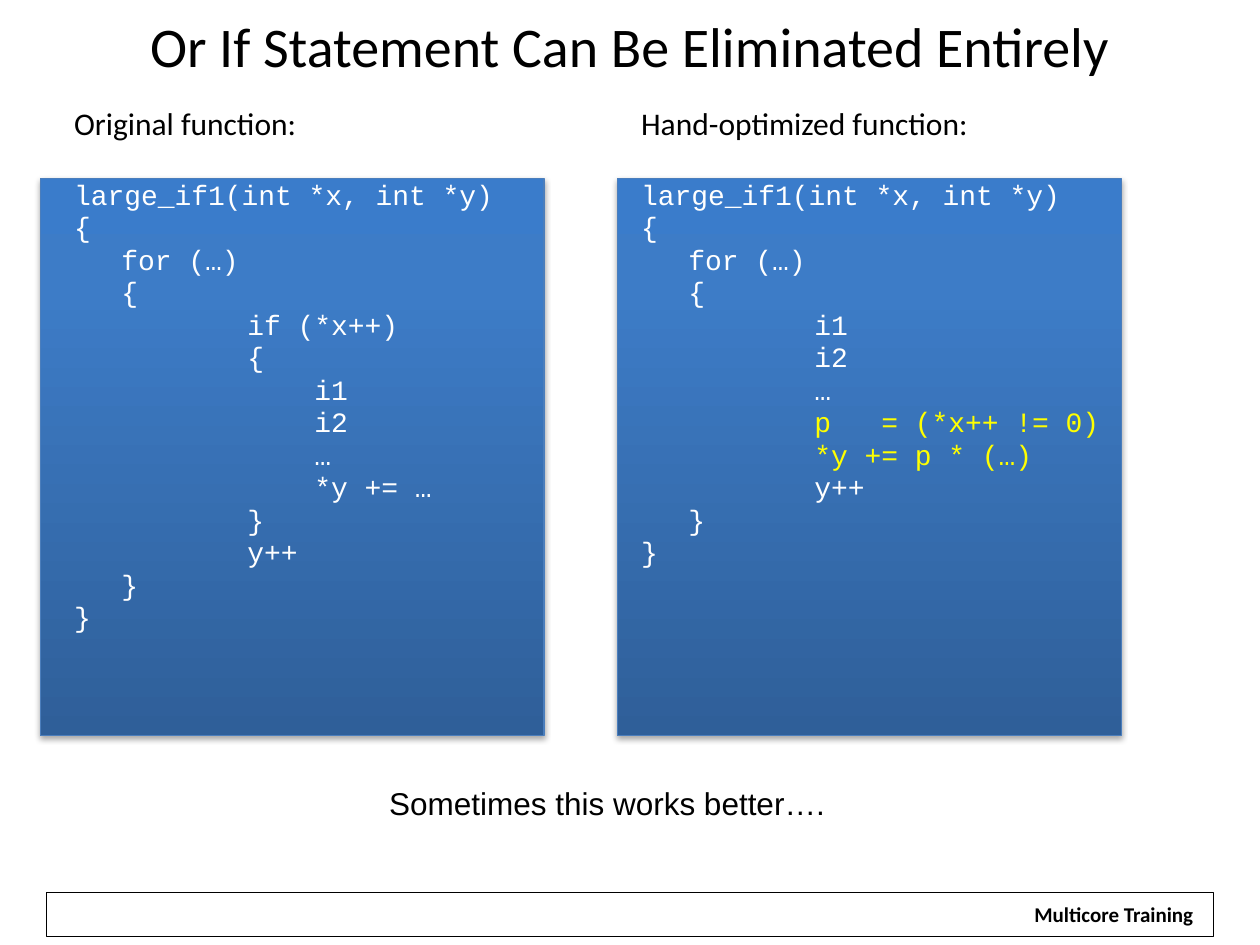
from copy import deepcopy
from dataclasses import dataclass

from lxml.etree import SubElement
from pptx import Presentation
from pptx.dml.color import RGBColor
from pptx.enum.shapes import MSO_SHAPE
from pptx.enum.text import MSO_ANCHOR, PP_ALIGN
from pptx.oxml.ns import qn
from pptx.util import Pt

COLORS = {
    "black": "000000",
    "white": "FFFFFF",
    "highlight": "FFFF00",
    "panel_line": "4B7EBC",
    "panel_bottom": "2F5F99",
    "panel_middle": "3D7CC7",
    "panel_top": "3A7CCB",
}
PANEL_STOPS = [(0, "panel_bottom"), (0.8, "panel_middle"), (1, "panel_top")]
HANGING = Pt(27)
TAB_WIDTH = Pt(72)


@dataclass
class Box:
    left: float
    top: float
    width: float
    height: float

    def lengths(self) -> list:
        return [Pt(v) for v in (self.left, self.top, self.width, self.height)]


@dataclass
class TextStyle:
    font: str
    size: float
    color: str = "black"
    bold: bool = False


@dataclass
class CodeColumn:
    panel_left: float
    text_left: float
    heading: str
    code: str
    highlighted: tuple = ()


HEADING = TextStyle("Calibri", 18)
CODE = TextStyle("Courier New", 16, "white")
HIGHLIGHT = TextStyle("Courier New", 16, "highlight")

COLUMNS = [
    CodeColumn(23, 35.3, "Original function:", """\
large_if1(int *x, int *y)
{
\tfor (…)
\t{
\t\tif (*x++)
\t\t{
\t\t    i1
\t\t    i2
\t\t    …
\t\t    *y += …
\t\t}
\t\ty++
\t}
}"""),
    CodeColumn(352.8, 359.3, "Hand-optimized function:", """\
large_if1(int *x, int *y)
{
\tfor (…)
\t{
\t\ti1
\t\ti2
\t\t…
\t\tp   = (*x++ != 0)
\t\t*y += p * (…)
\t\ty++
\t}
}""", ("p   = (*x++ != 0)", "*y += p * (…)")),
]


def rgb(name: str) -> RGBColor:
    return RGBColor.from_string(COLORS[name])


def add_run(paragraph, text: str, style: TextStyle) -> None:
    run = paragraph.add_run()
    run.text = text
    run.font.name = style.font
    run.font.size = Pt(style.size)
    run.font.bold = style.bold
    run.font.color.rgb = rgb(style.color)


def add_text_box(slide, box: Box, wrap: bool = True):
    shape = slide.shapes.add_textbox(*box.lengths())
    shape.text_frame.word_wrap = wrap
    return shape


def add_label(slide, box: Box, text: str, style: TextStyle,
              alignment=PP_ALIGN.LEFT, wrap: bool = False):
    shape = add_text_box(slide, box, wrap)
    paragraph = shape.text_frame.paragraphs[0]
    paragraph.alignment = alignment
    add_run(paragraph, text, style)
    return shape


def add_rectangle(slide, box: Box, line_color: str):
    shape = slide.shapes.add_shape(MSO_SHAPE.RECTANGLE, *box.lengths())
    shape.shadow.inherit = False
    shape.line.color.rgb = rgb(line_color)
    shape.line.width = Pt(0.75)
    return shape


def add_panel(slide, box: Box) -> None:
    shape = add_rectangle(slide, box, "panel_line")
    # Three-stop gradient running upwards
    shape.fill.gradient()
    shape.fill.gradient_angle = 90
    properties = shape.element.spPr
    stop_list = properties.find(qn("a:gradFill")).find(qn("a:gsLst"))
    stop_list.append(deepcopy(stop_list[-1]))
    for stop, (position, color) in zip(shape.fill.gradient_stops, PANEL_STOPS):
        stop.position = position
        stop.color.rgb = rgb(color)
    # Soft shadow below
    effects = properties.find(qn("a:effectLst"))
    shadow = SubElement(effects, qn("a:outerShdw"), blurRad=str(Pt(3.1)),
                        dist=str(Pt(1.8)), dir="5400000", rotWithShape="0")
    shadow_color = SubElement(shadow, qn("a:srgbClr"), val=COLORS["black"])
    SubElement(shadow_color, qn("a:alpha"), val="35000")


def add_code(slide, box: Box, column: CodeColumn) -> None:
    frame = add_text_box(slide, box).text_frame
    for index, line in enumerate(column.code.split("\n")):
        paragraph = frame.add_paragraph() if index else frame.paragraphs[0]
        paragraph.line_spacing = 0.8
        paragraph.space_before = Pt(3.2 if index else 0)
        # The first tab goes to the hanging indent, the next one tab further
        properties = paragraph._p.get_or_add_pPr()
        properties.set("marL", str(HANGING))
        properties.set("indent", str(-HANGING))
        properties.set("defTabSz", str(TAB_WIDTH))
        style = HIGHLIGHT if line.strip() in column.highlighted else CODE
        add_run(paragraph, line, style)


def add_column(slide, column: CodeColumn) -> None:
    add_panel(slide, Box(column.panel_left, 102.2, 288, 318.2))
    heading = add_label(slide, Box(column.text_left, 60, 318, 30),
                        column.heading, HEADING, wrap=True)
    heading.text_frame.paragraphs[0].line_spacing = 0.8
    add_code(slide, Box(column.text_left, 101.6, 318, 315), column)


def main() -> None:
    presentation = Presentation()
    presentation.slide_width, presentation.slide_height = Pt(720), Pt(540)
    slide = presentation.slides.add_slide(presentation.slide_layouts[6])

    # Footer
    footer = add_rectangle(slide, Box(26.6, 509.8, 666.7, 25.2), "black")
    footer.fill.background()
    footer_label = add_label(slide, Box(583.2, 511.9, 106.6, 21.6),
                             "Multicore Training",
                             TextStyle("Calibri", 12, bold=True),
                             PP_ALIGN.CENTER)
    footer_label.fill.solid()
    footer_label.fill.fore_color.rgb = rgb("white")

    # Title
    title = add_label(slide, Box(0, 0, 720, 51.1),
                      "Or If Statement Can Be Eliminated Entirely",
                      TextStyle("Calibri", 32), PP_ALIGN.CENTER, wrap=True)
    title.text_frame.vertical_anchor = MSO_ANCHOR.MIDDLE

    # Code comparison
    for column in COLUMNS:
        add_column(slide, column)

    # Closing remark
    add_label(slide, Box(215.3, 444.5, 263.5, 28.8),
              "Sometimes this works better….", TextStyle("Arial", 18))

    presentation.save("out.pptx")


if __name__ == "__main__":
    main()
